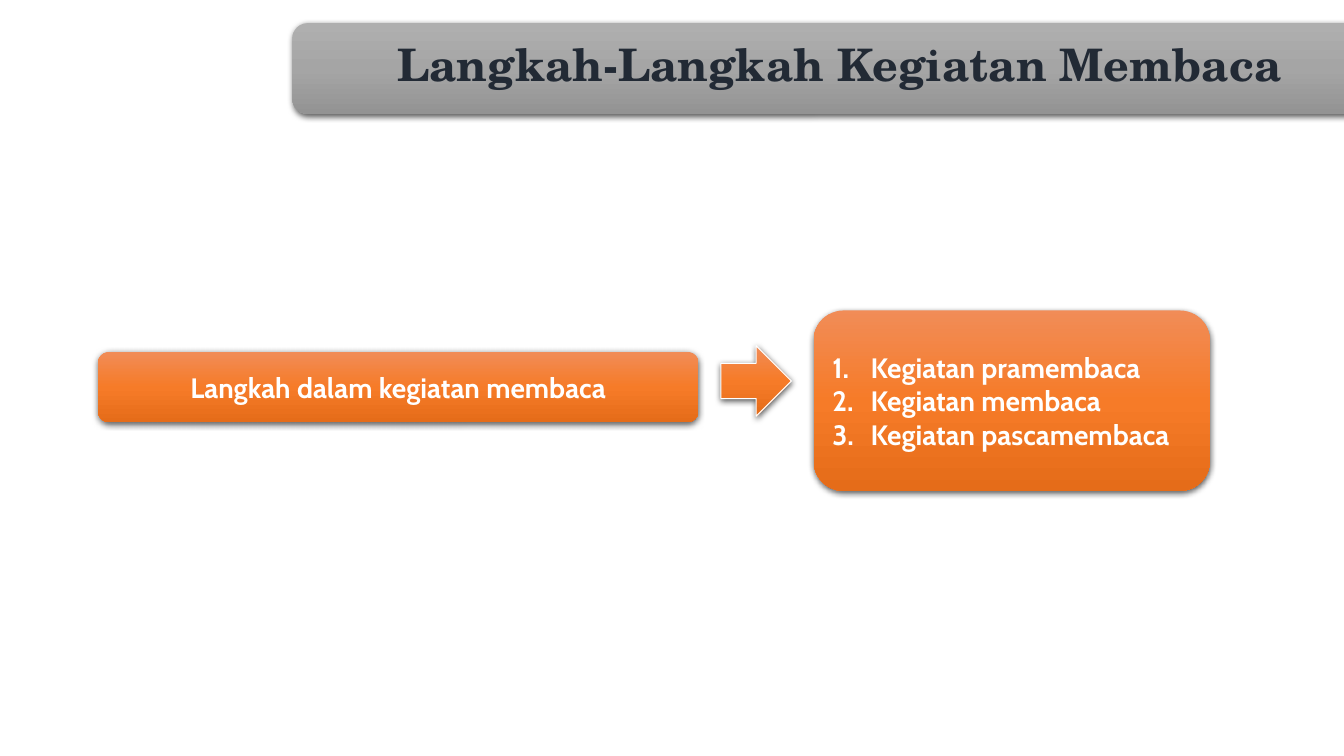
"""Build the slide about the steps of a reading activity."""
import dataclasses
import typing

import lxml.etree
import pptx
import pptx.dml.color
import pptx.enum.shapes
import pptx.enum.text
import pptx.oxml.ns
import pptx.util

SLIDE_WIDTH = pptx.util.Inches(13.33)
SLIDE_HEIGHT = pptx.util.Inches(7.5)
COLUMN = SLIDE_WIDTH / 133.3
ROW = SLIDE_HEIGHT / 75

COLORS = {
    "grey_light": "AFAFAF", "grey": "A5A5A5", "grey_dark": "939393",
    "orange_light": "F18C57", "orange": "F67B28", "orange_dark": "E56C19",
    "navy": "222A35", "white": "FFFFFF", "shadow": "000000",
}
PRESETS = pptx.enum.shapes.MSO_SHAPE
ALIGN = pptx.enum.text.PP_ALIGN
ANCHOR = pptx.enum.text.MSO_ANCHOR

TITLE_FONT = {"name": "TeX Gyre Schola", "size": pptx.util.Pt(32), "bold": True}
BODY_FONT = {"name": "Cabin", "size": pptx.util.Pt(20), "bold": True}
TITLE_PARAGRAPH = {"alignment": ALIGN.CENTER, "line_spacing": 1.07, "space_after": pptx.util.Pt(8)}
CENTERED = {"alignment": ALIGN.CENTER}
LISTED = {"alignment": ALIGN.LEFT}


@dataclasses.dataclass(frozen=True)
class Block:
    """A filled shape measured in grid columns and rows."""

    preset: PRESETS
    left: float
    top: float
    width: float
    height: float
    shade: str = "orange"
    lines: tuple[str, ...] = ()
    text_color: str = "white"
    font: dict[str, typing.Any] = dataclasses.field(default_factory=lambda: BODY_FONT)
    paragraph: dict[str, typing.Any] = dataclasses.field(default_factory=lambda: CENTERED)
    anchor: ANCHOR = ANCHOR.MIDDLE
    numbered: bool = False
    outlined: bool = False


BLOCKS = (
    Block(PRESETS.ROUNDED_RECTANGLE, 29, 2.3, 108.6, 9, "grey",
          ("Langkah-Langkah Kegiatan Membaca",), "navy",
          TITLE_FONT, TITLE_PARAGRAPH, ANCHOR.TOP),
    Block(PRESETS.ROUNDED_RECTANGLE, 9.7, 34.9, 59.6, 7,
          lines=("Langkah dalam kegiatan membaca",)),
    Block(PRESETS.ROUNDED_RECTANGLE, 80.7, 30.8, 39.3, 17.9,
          lines=("Kegiatan pramembaca", "Kegiatan membaca", "Kegiatan pascamembaca"),
          paragraph=LISTED, numbered=True),
    Block(PRESETS.RIGHT_ARROW, 71.5, 34.3, 7, 7, outlined=True),
)


def add_element(parent: typing.Any, tag: str, **attributes: typing.Any) -> typing.Any:
    """Append a drawing element with its attributes."""
    values = {name: str(value) for name, value in attributes.items()}
    return lxml.etree.SubElement(parent, pptx.oxml.ns.qn(tag), values)


def apply_format(target: typing.Any, values: dict[str, typing.Any]) -> None:
    """Set every format value on the target."""
    for name, value in values.items():
        setattr(target, name, value)


def shade_shape(shape: typing.Any, shade: str) -> None:
    """Give a shape a downward gradient in three stops and a soft shadow."""
    shape.fill.gradient()
    shape.fill.gradient_angle = 270
    properties = shape.element.spPr
    stops = properties.find(".//" + pptx.oxml.ns.qn("a:gsLst"))
    for stop in list(stops):
        stops.remove(stop)
    for position, suffix in ((0, "_light"), (50, ""), (100, "_dark")):
        stop = add_element(stops, "a:gs", pos=position * 1000)
        add_element(stop, "a:srgbClr", val=COLORS[shade + suffix])
    shape.shadow.inherit = False
    effects = properties.find(pptx.oxml.ns.qn("a:effectLst"))
    shadow = add_element(effects, "a:outerShdw", blurRad=pptx.util.Pt(4.5),
                         dist=pptx.util.Pt(1.5), dir=90 * 60000, algn="ctr", rotWithShape=0)
    color = add_element(shadow, "a:srgbClr", val=COLORS["shadow"])
    add_element(color, "a:alpha", val=63000)


def number_paragraph(paragraph: typing.Any) -> None:
    """Turn a paragraph into a numbered item with a hanging indent."""
    properties = paragraph._p.get_or_add_pPr()
    hanging = pptx.util.Inches(0.38)
    properties.set("marL", str(hanging))
    properties.set("indent", str(-hanging))
    add_element(properties, "a:buFont", typeface="+mj-lt")
    add_element(properties, "a:buAutoNum", type="arabicPeriod")
    tabs = add_element(properties, "a:tabLst")
    add_element(tabs, "a:tab", pos=pptx.util.Inches(0.5), algn="l")


def write_lines(shape: typing.Any, block: Block) -> None:
    """Write the lines of a block as paragraphs."""
    frame = shape.text_frame
    apply_format(frame, {"word_wrap": True, "vertical_anchor": block.anchor})
    for index, line in enumerate(block.lines):
        paragraph = frame.add_paragraph() if index else frame.paragraphs[0]
        if block.numbered:
            number_paragraph(paragraph)
        apply_format(paragraph, block.paragraph)
        run = paragraph.add_run()
        run.text = line
        apply_format(run.font, block.font)
        run.font.color.rgb = pptx.dml.color.RGBColor.from_string(COLORS[block.text_color])


def draw_block(slide: typing.Any, block: Block) -> None:
    """Draw one block on the slide."""
    shape = slide.shapes.add_shape(
        block.preset, round(block.left * COLUMN), round(block.top * ROW),
        round(block.width * COLUMN), round(block.height * ROW))
    shade_shape(shape, block.shade)
    if block.outlined:
        shape.line.color.rgb = pptx.dml.color.RGBColor.from_string(COLORS["white"])
        shape.line.width = pptx.util.Pt(0.75)
    else:
        shape.line.fill.background()
    write_lines(shape, block)


def main() -> None:
    """Create the presentation and save it."""
    presentation = pptx.Presentation()
    apply_format(presentation, {"slide_width": SLIDE_WIDTH, "slide_height": SLIDE_HEIGHT})
    slide = presentation.slides.add_slide(presentation.slide_layouts[6])
    for block in BLOCKS:
        draw_block(slide, block)
    presentation.save("out.pptx")


if __name__ == "__main__":
    main()
